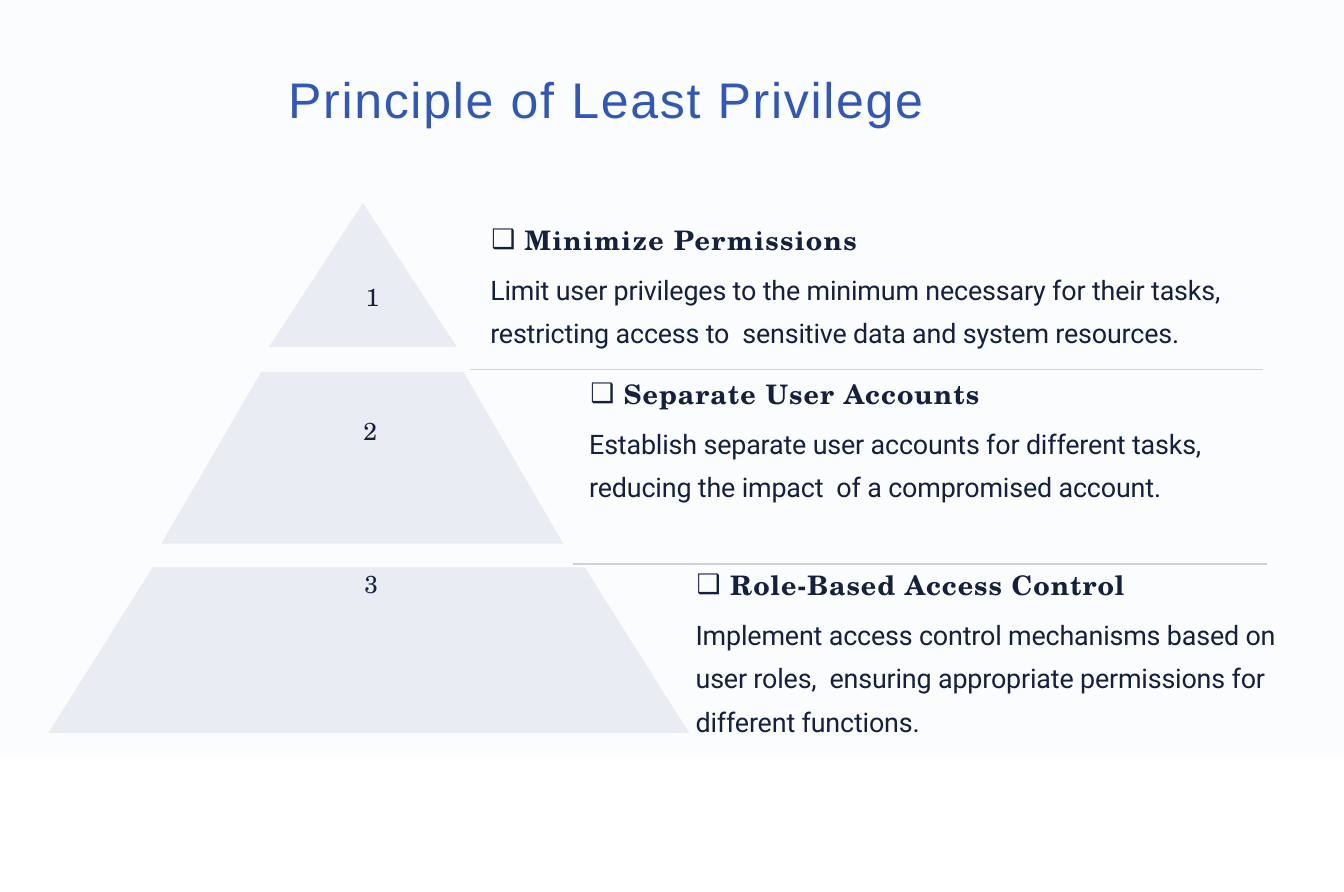
from lxml import etree
from pptx import Presentation
from pptx import util as u
from pptx.dml.color import RGBColor
from pptx.enum import shapes, text
from pptx.oxml import ns

PX = 9144
SERIF, SANS, TITLE_FONT = "TeX Gyre Schola", "Roboto", "Arial"
INK, BLUE, TIER, RULE, PANEL = "15203F", "3157B7", "E9ECF2", "CFD2D8", "FBFCFE"
TRIANGLE = shapes.MSO_SHAPE.ISOSCELES_TRIANGLE
TRAPEZOID = shapes.MSO_SHAPE.TRAPEZOID

TIERS = [
    (TRIANGLE, (250, 189, 175, 134), None, (339, 260)),
    (TRAPEZOID, (150, 346, 374, 160), 93, (337, 385)),
    (TRAPEZOID, (45, 528, 596, 154), 97, (338, 527)),
]
RULES = [(437, 1175, 344), (533, 1178, 525)]
PRINCIPLES = [
    ((455, 206, 693, 117), "Minimize Permissions", 0.85,
     "Limit user privileges to the minimum necessary for their tasks, "
     "restricting access to  sensitive data and system resources."),
    ((547, 349, 606, 117), "Separate User Accounts", 0.7,
     "Establish separate user accounts for different tasks, "
     "reducing the impact  of a compromised account."),
    ((646, 527, 546, 157), "Role-Based Access Control", 0.65,
     "Implement access control mechanisms based on user roles,  "
     "ensuring appropriate permissions for different functions."),
]


def color(value):
    return RGBColor.from_string(value)


def px(*lengths):
    return [length * PX for length in lengths]


def place(box, bounds):
    box.left, box.top, box.width, box.height = px(*bounds)


def prepare_frame(box, wrap=True):
    frame = box.text_frame
    frame.margin_left = frame.margin_right = frame.margin_bottom = 0
    frame.margin_top = 2 * PX
    frame.word_wrap = wrap
    frame.auto_size = text.MSO_AUTO_SIZE.NONE
    frame.vertical_anchor = text.MSO_ANCHOR.TOP
    return frame


def format_para(para, font, size, ink, spacing, before, bold=False, line=1.0):
    para.alignment = text.PP_ALIGN.LEFT
    para.space_before = u.Pt(before)
    para.line_spacing = line
    for span in para.runs:
        span.font.name = font
        span.font.size = u.Pt(size)
        span.font.bold = bold
        span.font.color.rgb = color(ink)
        span.font._element.set("spc", str(round(spacing * 100)))


def set_bullet(para, mark, margin, indent):
    props = para._p.get_or_add_pPr()
    props.set("marL", str(margin * PX))
    props.set("indent", str(indent * PX))
    if mark:
        etree.SubElement(props, ns.qn("a:buChar")).set("char", mark)
    else:
        etree.SubElement(props, ns.qn("a:buNone"))


def add_filled(page, kind, bounds, fill):
    shape = page.shapes.add_shape(kind, *px(*bounds))
    shape.shadow.inherit = False
    shape.fill.solid()
    shape.fill.fore_color.rgb = color(fill)
    shape.line.fill.background()
    return shape


def add_panel(page):
    panel = add_filled(page, shapes.MSO_SHAPE.RECTANGLE, (0, 0, 1250, 704), PANEL)
    page.shapes._spTree.insert(2, panel._element)


def fill_title(page):
    title = page.shapes.title
    place(title, (267, 62, 750, 58))
    frame = prepare_frame(title)
    frame.text = "Principle of Least Privilege"
    format_para(frame.paragraphs[0], TITLE_FONT, 33.5, BLUE, 1.15, 1.2)
    set_bullet(frame.paragraphs[0], None, 1, 0)


def add_tier(page, number, kind, bounds, inset, label_at):
    tier = add_filled(page, kind, bounds, TIER)
    if inset:
        tier.adjustments[0] = inset / min(bounds[2:])
    label = page.shapes.add_textbox(*px(*label_at, 16, 31))
    frame = prepare_frame(label, wrap=False)
    frame.text = str(number)
    format_para(frame.paragraphs[0], SERIF, 16.5, INK, 0, 1.4)
    set_bullet(frame.paragraphs[0], None, 1, 0)


def add_rule(page, left, right, y):
    rule = page.shapes.add_connector(
        shapes.MSO_CONNECTOR.STRAIGHT, *px(left, y, right, y))
    rule.line.color.rgb = color(RULE)
    rule.line.width = u.Pt(1)
    etree.SubElement(rule._element.spPr, ns.qn("a:effectLst"))


def fill_principle(box, bounds, heading, spacing, detail):
    place(box, bounds)
    frame = prepare_frame(box)
    frame.text = heading
    head = frame.paragraphs[0]
    format_para(head, SERIF, 18, INK, spacing, 1.4, bold=True)
    set_bullet(head, "❑", 33, -31)
    body = frame.add_paragraph()
    body.text = detail
    format_para(body, SANS, 18, INK, -0.1, 4.7, line=1.34)
    set_bullet(body, None, 1, 0)


def main():
    deck = Presentation()
    deck.slide_width, deck.slide_height = px(1250, 830)
    comparison = deck.slide_layouts[4]
    page = deck.slides.add_slide(comparison)
    add_panel(page)
    fill_title(page)
    for number, tier in enumerate(TIERS, 1):
        add_tier(page, number, *tier)
    for rule in RULES:
        add_rule(page, *rule)
    bodies = list(page.placeholders)[1:]
    for box, principle in zip(bodies, PRINCIPLES):
        fill_principle(box, *principle)
    for spare in bodies[len(PRINCIPLES):]:
        page.shapes._spTree.remove(spare._element)
    deck.save("out.pptx")


if __name__ == "__main__":
    main()
